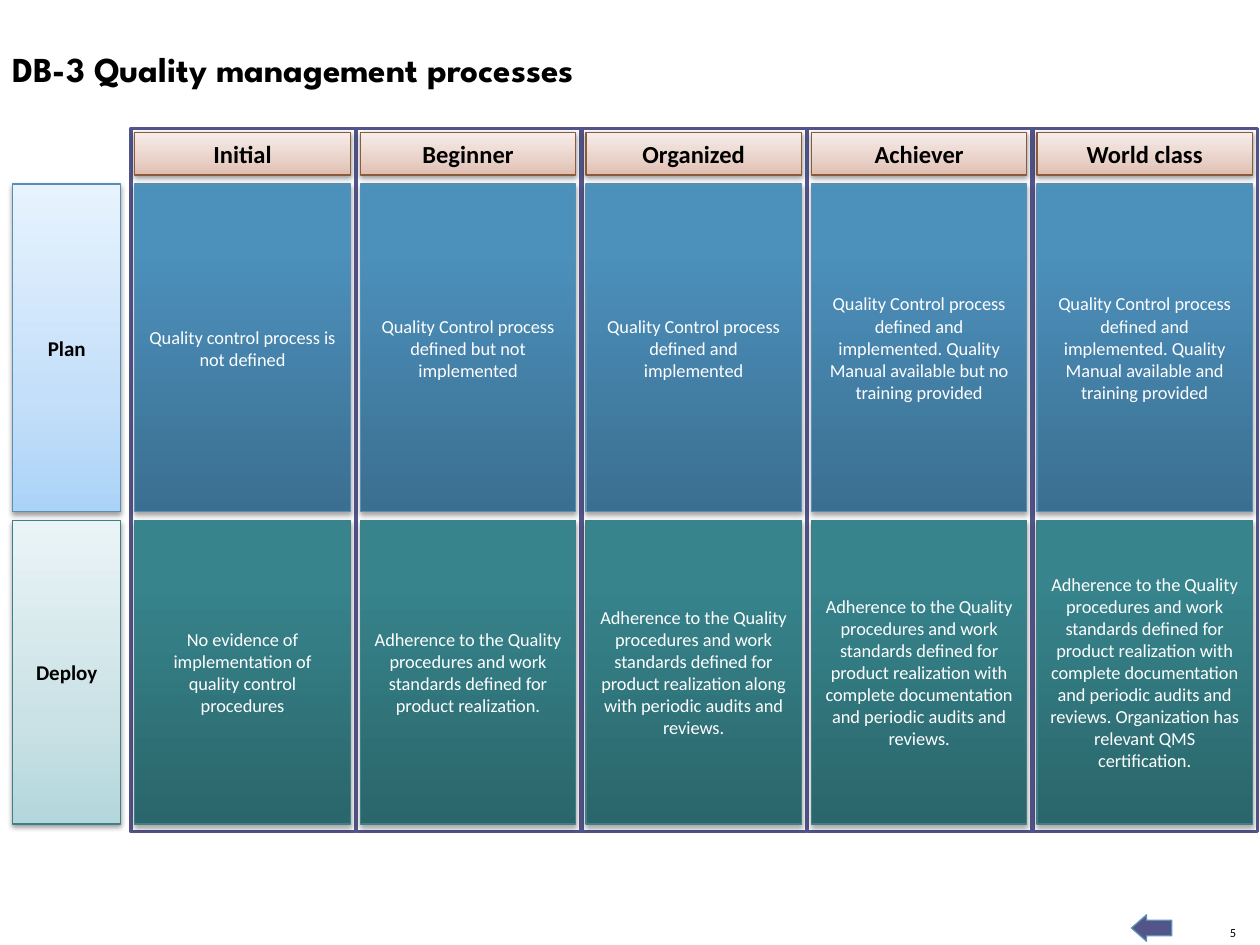
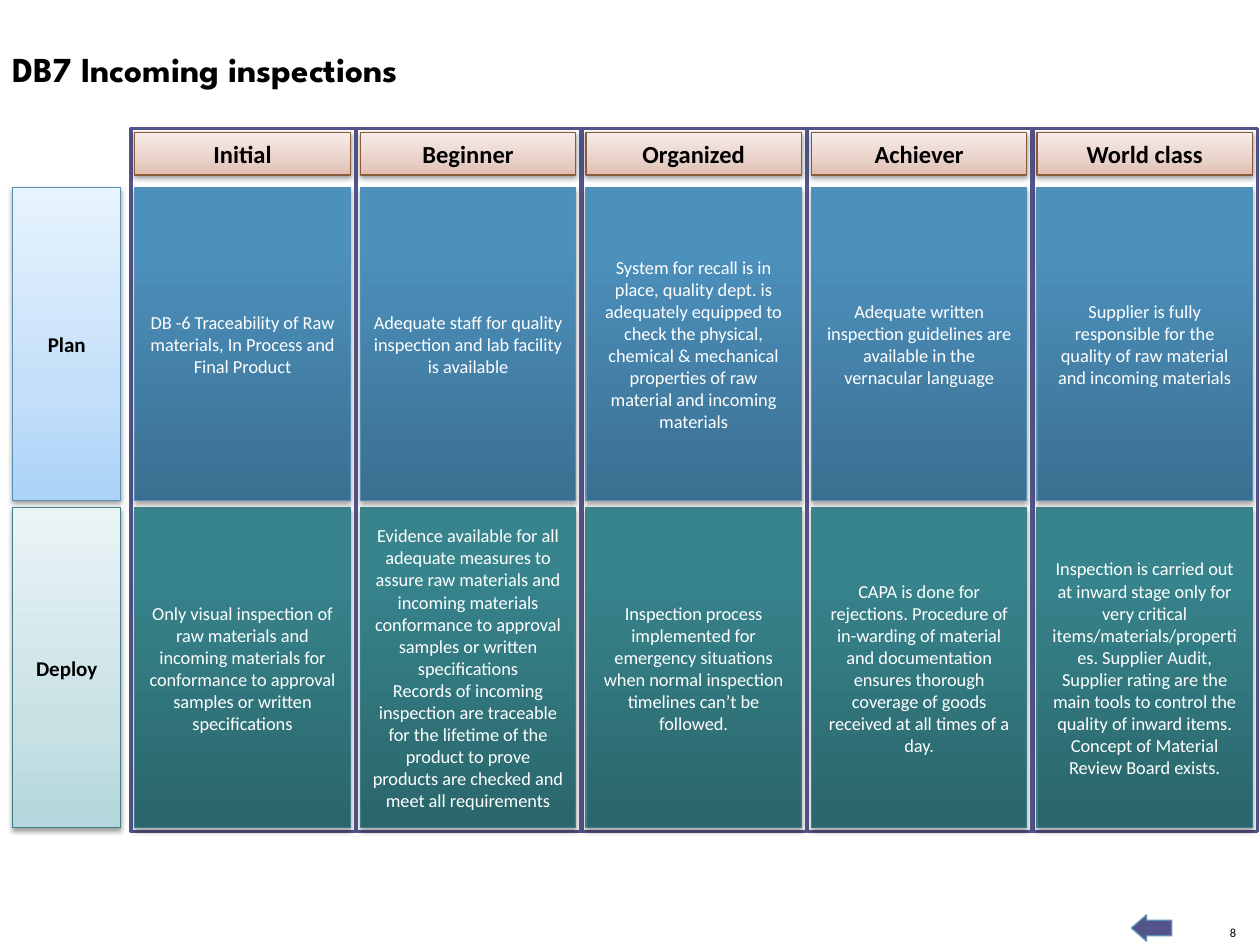
"""Build the two quality maturity grids with their shared frame, headings and footer."""
from lxml.etree import SubElement
from pptx import Presentation
from pptx.dml.color import RGBColor
from pptx.enum.shapes import MSO_SHAPE
from pptx.enum.text import MSO_ANCHOR, PP_ALIGN
from pptx.oxml.ns import qn
from pptx.util import Inches, Pt

COLORS = {
    "ink": "000000",
    "paper": "FFFFFF",
    "frame": "53548A",
    "arrow_edge": "5C92B5",
    "plan_edge": "588FB3",
    "deploy_edge": "407F85",
    "level_edge": "8A5B3A",
}
GRADIENTS = {
    "plan_label": [(0, "ABD3F8"), (35, "C4DFF9"), (100, "E7F3FE")],
    "deploy_label": [(0, "B3D7DC"), (35, "CAE2E6"), (100, "EAF4F6")],
    "plan_card": [(0, "3B6F91"), (80, "4C90BC"), (100, "4A91BF")],
    "deploy_card": [(0, "2A666B"), (80, "37848C"), (100, "36868E")],
    "level": [(0, "E0BEB0"), (35, "E8D1C8"), (100, "F7EDEA")],
}
FONTS = {
    "title": {"name": "League Spartan", "size": Pt(20), "bold": True},
    "level": {"name": "Calibri", "size": Pt(14), "bold": True},
    "label": {"name": "Calibri", "size": Pt(12), "bold": True},
    "card": {"name": "Calibri", "size": Pt(10.5), "bold": False},
    "number": {"name": "Calibri", "size": Pt(7.1), "bold": False},
}
SOFT_SHADOW = {"blur": 3.1, "distance": 1.6, "opacity": 38}
CARD_SHADOW = {"blur": 3.1, "distance": 1.8, "opacity": 35}

LEVELS = ["Initial", "Beginner", "Organized", "Achiever", "World class"]
COLUMN_PITCH = 1.79
FRAME_LEFT, FRAME_WIDTH = 1.04, 1.78
CARD_LEFT, CARD_WIDTH = 1.07, 1.71

TOPICS = [
    {
        "title": "DB-3 Quality management processes",
        "number": "5",
        "rows": {
            "Plan": (1.46, 2.6, [
                "Quality control process is not defined",
                "Quality Control process defined but not implemented",
                "Quality Control process defined and implemented",
                "Quality Control process defined and implemented. Quality Manual "
                "available but no training provided",
                "Quality Control process defined and implemented. Quality Manual "
                "available and training provided",
            ]),
            "Deploy": (4.13, 2.41, [
                "No evidence of implementation of quality control procedures",
                "Adherence to the Quality procedures and work standards defined for "
                "product realization.",
                "Adherence to the Quality procedures and work standards defined for "
                "product realization along with periodic audits and reviews.",
                "Adherence to the Quality procedures and work standards defined for "
                "product realization with complete documentation and periodic audits "
                "and reviews.",
                "Adherence to the Quality procedures and work standards defined for "
                "product realization with complete documentation and periodic audits "
                "and reviews. Organization has relevant QMS certification.",
            ]),
        },
    },
    {
        "title": "DB7 Incoming inspections",
        "number": "8",
        "rows": {
            "Plan": (1.49, 2.48, [
                "DB -6 Traceability of Raw materials, In Process and Final Product",
                "Adequate staff for quality inspection and lab facility is available",
                "System for recall is in place, quality dept. is adequately equipped to "
                "check the physical, chemical & mechanical properties of raw material "
                "and incoming materials",
                "Adequate written inspection guidelines are available in the vernacular "
                "language",
                "Supplier is fully responsible for the quality of raw material and "
                "incoming materials",
            ]),
            "Deploy": (4.03, 2.54, [
                "Only visual inspection of raw materials and incoming materials for "
                "conformance to approval samples or written specifications",
                "Evidence available for all adequate measures to assure raw materials "
                "and incoming materials conformance to approval samples or written "
                "specifications\n"
                "Records of incoming inspection are traceable for the lifetime of the "
                "product to prove products are checked and meet all requirements",
                "Inspection process implemented for emergency situations when normal "
                "inspection timelines can’t be followed.",
                "CAPA is done for rejections. Procedure of in-warding of material and "
                "documentation ensures thorough coverage of goods received at all times "
                "of a day.",
                "Inspection is carried out at inward stage only for very critical "
                "items/materials/properties. Supplier Audit, Supplier rating are the "
                "main tools to control the quality of inward items. Concept of Material "
                "Review Board exists.",
            ]),
        },
    },
]


class MaturityDeck:
    def __init__(self):
        self.deck = Presentation()
        self.deck.slide_width = Inches(10)
        self.deck.slide_height = Inches(7.5)
        self.slide = None

    def start_slide(self):
        self.slide = self.deck.slides.add_slide(self.deck.slide_layouts[6])

    def fill_text(self, frame, text, font, color, align, **layout):
        for key, value in layout.items():
            setattr(frame, key, value)
        frame.text = text
        for paragraph in frame.paragraphs:
            paragraph.alignment = align
            for key, value in FONTS[font].items():
                setattr(paragraph.font, key, value)
            paragraph.font.color.rgb = RGBColor.from_string(COLORS[color])

    def text(self, box, text, font, align=PP_ALIGN.LEFT, **layout):
        textbox = self.slide.shapes.add_textbox(*map(Inches, box))
        self.fill_text(textbox.text_frame, text, font, "ink", align, **layout)

    def shape(self, box, fill, edge, edge_width=0.75, kind=MSO_SHAPE.RECTANGLE):
        shape = self.slide.shapes.add_shape(kind, *map(Inches, box))
        shape.shadow.inherit = False
        shape.line.color.rgb = RGBColor.from_string(COLORS[edge])
        shape.line.width = Pt(edge_width)
        if fill in GRADIENTS:
            self.shade(shape, GRADIENTS[fill])
        else:
            shape.fill.solid()
            shape.fill.fore_color.rgb = RGBColor.from_string(COLORS[fill])
        return shape

    def shade(self, shape, stops):
        shape.fill.gradient()
        shape.fill.gradient_angle = 90
        stop_list = next(shape.element.spPr.iter(qn("a:gsLst")))
        stop_list.clear()
        for position, color in stops:
            stop = SubElement(stop_list, qn("a:gs"), pos=str(position * 1000))
            SubElement(stop, qn("a:srgbClr"), val=color)

    def cast_shadow(self, shape, blur, distance, opacity):
        effects = shape.element.spPr.find(qn("a:effectLst"))
        shadow = SubElement(effects, qn("a:outerShdw"), blurRad=str(Pt(blur)),
                            dist=str(Pt(distance)), dir="5400000", rotWithShape="0")
        color = SubElement(shadow, qn("a:srgbClr"), val=COLORS["ink"])
        SubElement(color, qn("a:alpha"), val=str(opacity * 1000))

    def panel(self, box, text, fill, edge, font, color="ink", shadow=SOFT_SHADOW):
        panel = self.shape(box, fill, edge)
        self.cast_shadow(panel, **shadow)
        self.fill_text(panel.text_frame, text, font, color, PP_ALIGN.CENTER,
                       word_wrap=True, vertical_anchor=MSO_ANCHOR.MIDDLE)

    def footer(self, number):
        self.text((9.69, 7.34, 0.12, 0.12), number, "number", PP_ALIGN.RIGHT,
                  word_wrap=False, vertical_anchor=MSO_ANCHOR.BOTTOM,
                  margin_left=0, margin_right=0, margin_top=0, margin_bottom=0)
        back_arrow = self.shape((8.98, 7.26, 0.32, 0.21), "frame", "arrow_edge",
                                kind=MSO_SHAPE.RIGHT_ARROW)
        back_arrow.rotation = 180
        back_arrow.adjustments[0] = 0.59
        back_arrow.adjustments[1] = 0.57

    def grid(self, rows):
        offsets = [COLUMN_PITCH * column for column in range(len(LEVELS))]
        for label, (top, height, _) in rows.items():
            row = label.lower()
            self.panel((0.1, top, 0.86, height), label,
                       f"{row}_label", f"{row}_edge", "label")
        for offset in offsets:
            self.shape((FRAME_LEFT + offset, 1.02, FRAME_WIDTH, 5.58),
                       "paper", "frame", 2)
        for label, (top, height, criteria) in rows.items():
            row = label.lower()
            for offset, criterion in zip(offsets, criteria):
                self.panel((CARD_LEFT + offset, top, CARD_WIDTH, height), criterion,
                           f"{row}_card", f"{row}_edge", "card", "paper", CARD_SHADOW)
        for offset, level in zip(offsets, LEVELS):
            self.panel((CARD_LEFT + offset, 1.05, CARD_WIDTH, 0.34), level,
                       "level", "level_edge", "level")

    def topic(self, title, number, rows):
        self.start_slide()
        self.footer(number)
        self.text((0, 0.33, 8.6, 0.44), title, "title", word_wrap=True)
        self.grid(rows)


def main():
    maturity = MaturityDeck()
    for topic in TOPICS:
        maturity.topic(**topic)
    maturity.deck.save("out.pptx")


if __name__ == "__main__":
    main()
